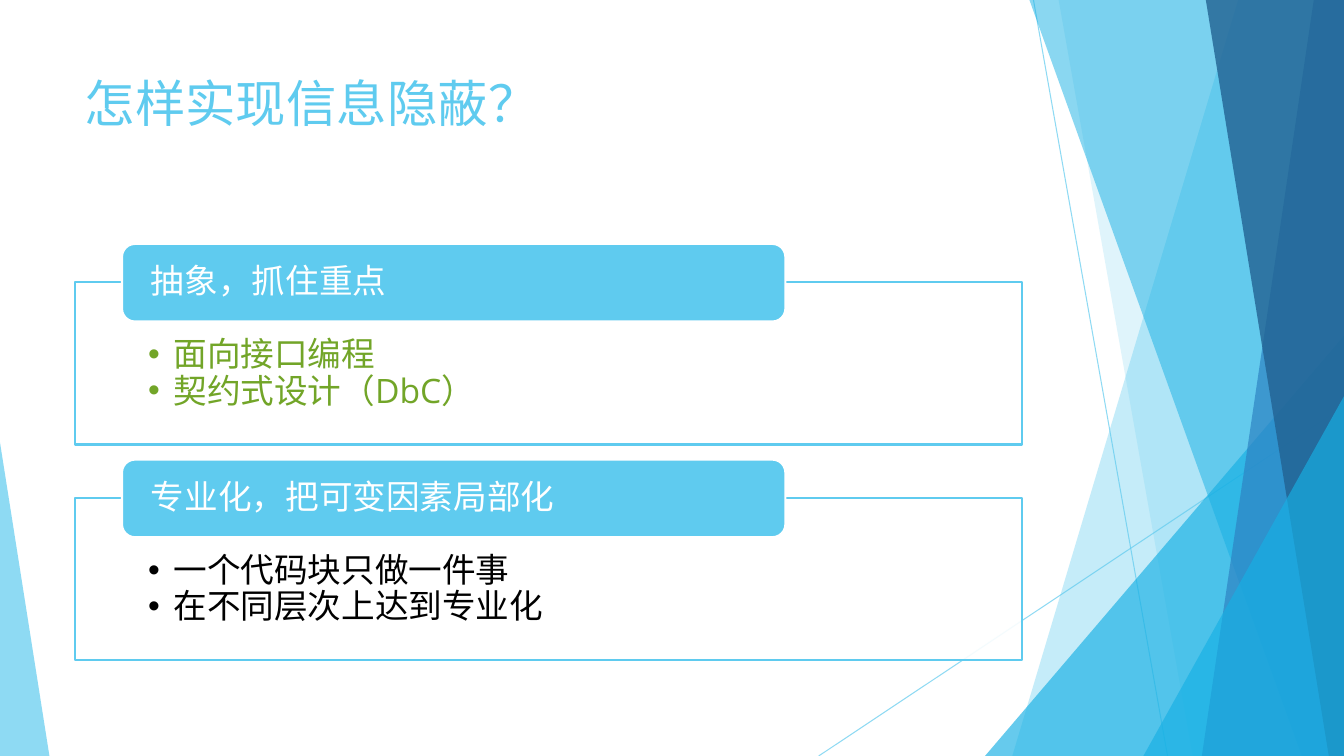
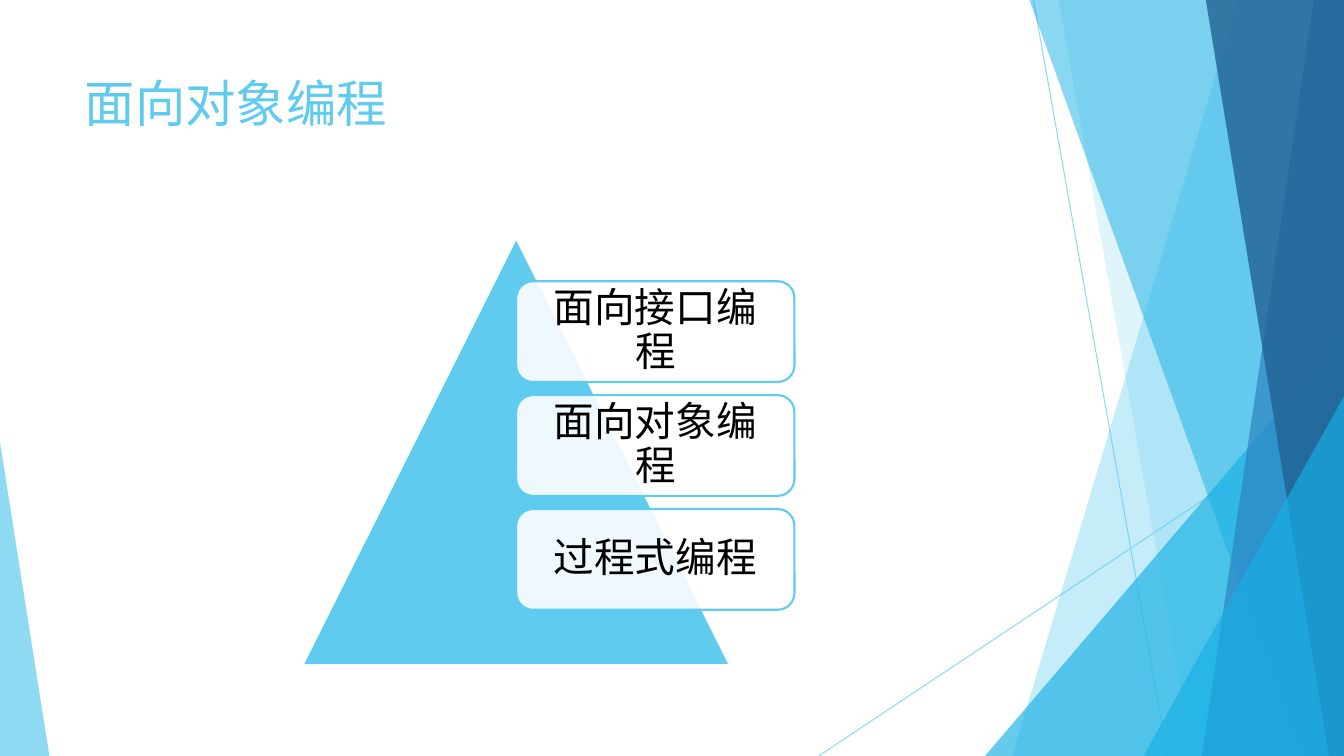
from lxml.etree import SubElement
from pptx import Presentation
from pptx.dml.color import RGBColor
from pptx.enum.shapes import MSO_CONNECTOR, MSO_SHAPE
from pptx.enum.text import MSO_ANCHOR, MSO_AUTO_SIZE, PP_ALIGN
from pptx.oxml.ns import qn
from pptx.util import Inches, Pt

FONT = "Open Sans"
SKY, CYAN, BLUE, NAVY = "5FCBEF", "17B0E4", "2E83C3", "226292"
GREEN, WHITE, BLACK = "72A528", "FFFFFF", "000000"
WIDE, HIGH = 13.33, 7.5
LEFT, SPAN = 0.74, 9.4


def paint(shape, fill=None, alpha=100, line=None, width=1.5):
    if fill:
        shape.fill.solid()
        shape.fill.fore_color.rgb = RGBColor.from_string(fill)
    if line:
        shape.line.color.rgb = RGBColor.from_string(line)
        shape.line.width = Pt(width)
    else:
        shape.line.fill.background()
    props = shape._element.spPr
    if alpha < 100:
        first = next(props.iter(qn("a:srgbClr")))
        SubElement(first, qn("a:alpha"), val=str(alpha * 1000))
    SubElement(props, qn("a:effectLst"))


def write(shape, *lines, size=24, color=BLACK, align=PP_ALIGN.LEFT,
          anchor=MSO_ANCHOR.TOP, inset=(0.1, 0.05, 0.1, 0.05), lead=0.9, hang=0):
    frame = shape.text_frame
    frame.text = "\n".join(lines)
    frame.word_wrap = True
    frame.auto_size = MSO_AUTO_SIZE.NONE
    frame.vertical_anchor = anchor
    (frame.margin_left, frame.margin_top,
     frame.margin_right, frame.margin_bottom) = map(Inches, inset)
    for para in frame.paragraphs:
        para.alignment = align
        para.line_spacing = lead
        para.space_before = para.space_after = Pt(0)
        para.font.size = Pt(size)
        para.font.name = FONT
        para.font.color.rgb = RGBColor.from_string(color)
        if hang:
            para._p.pPr.set("marL", str(Inches(hang)))
            para._p.pPr.set("indent", str(-Inches(hang)))


deck = Presentation()
deck.slide_width, deck.slide_height = Inches(WIDE), Inches(HIGH)
hide = deck.slides.add_slide(deck.slide_layouts[3])
code = deck.slides.add_slide(deck.slide_layouts[5])

rays = [(10.25, 0, 11.58, HIGH), (WIDE, 4.03, 8.12, HIGH)]
bands = [
    ("slant", 12.28, 10.04, SKY, 36),
    ("slant", 10.5, 11.83, SKY, 20),
    ("wedge", 9.77, 3.33, CYAN, 66),
    ("slant", 10.21, 12.91, CYAN, 50),
    ("slant", 13.03, 11.92, BLUE, 70),
    ("slant", 11.96, 13.18, NAVY, 80),
    ("wedge", 11.34, 3.93, CYAN, 66),
]

for slide, title in ((hide, "怎样实现信息隐蔽？"), (code, "面向对象编程")):
    group = slide.shapes.add_group_shape()
    group._element.getparent().insert(2, group._element)
    for ray in rays:
        line = group.shapes.add_connector(MSO_CONNECTOR.STRAIGHT, *map(Inches, ray))
        paint(line, alpha=70, line=SKY, width=0.75)
    for kind, one, two, fill, alpha in bands:
        if kind == "slant":
            path = group.shapes.build_freeform(Inches(one), 0)
            path.add_line_segments([
                (Inches(x), Inches(y))
                for x, y in ((WIDE, 0), (WIDE, HIGH), (two, HIGH))
            ])
            band = path.convert_to_shape()
        else:
            band = group.shapes.add_shape(
                MSO_SHAPE.ISOSCELES_TRIANGLE,
                *map(Inches, (one, two, WIDE - one, HIGH - two)))
            band.adjustments[0] = 1
        paint(band, fill, alpha)
    edge = group.shapes.add_shape(
        MSO_SHAPE.ISOSCELES_TRIANGLE, *map(Inches, (0, 4.39, 0.49, HIGH - 4.39)))
    edge.adjustments[0] = 0
    paint(edge, SKY, 70)

    head = slide.shapes.title
    head.left, head.top, head.width, head.height = map(Inches, (LEFT, 0.67, SPAN, 1.44))
    write(head, title, size=36, color=SKY, lead=1)

topics = [
    ("抽象，抓住重点", ("面向接口编程", "契约式设计（DbC）"), GREEN),
    ("专业化，把可变因素局部化", ("一个代码块只做一件事", "在不同层次上达到专业化"), BLACK),
]
for row, (label, items, color) in enumerate(topics):
    top = 2.8 + row * 2.14
    panel = hide.placeholders[row + 1]
    panel.left, panel.top, panel.width, panel.height = map(Inches, (LEFT, top, SPAN, 1.61))
    paint(panel, WHITE, 90, SKY)
    write(panel, *items, color=color, inset=(0.73, 0.55, 0.73, 0.19), hang=0.25)
    tab = hide.shapes.add_shape(
        MSO_SHAPE.ROUNDED_RECTANGLE,
        *map(Inches, (LEFT + SPAN / 20, top - 0.38, SPAN * 0.7, 0.77)))
    paint(tab, SKY, line=WHITE)
    write(tab, label, color=WHITE, anchor=MSO_ANCHOR.MIDDLE, inset=(0.25, 0, 0.25, 0))

peak = code.shapes.add_shape(
    MSO_SHAPE.ISOSCELES_TRIANGLE, *map(Inches, (3, 2.36, 4.24, 4.24)))
paint(peak, SKY, line=WHITE)
for row, label in enumerate(("面向接口编程", "面向对象编程", "过程式编程")):
    card = code.shapes.add_shape(
        MSO_SHAPE.ROUNDED_RECTANGLE, *map(Inches, (5.12, 2.79 + row * 1.13, 2.76, 1)))
    paint(card, WHITE, 90, SKY)
    write(card, label, size=29, align=PP_ALIGN.CENTER,
          anchor=MSO_ANCHOR.MIDDLE, inset=(0.13, 0.12, 0.13, 0.12))

deck.save("out.pptx")
